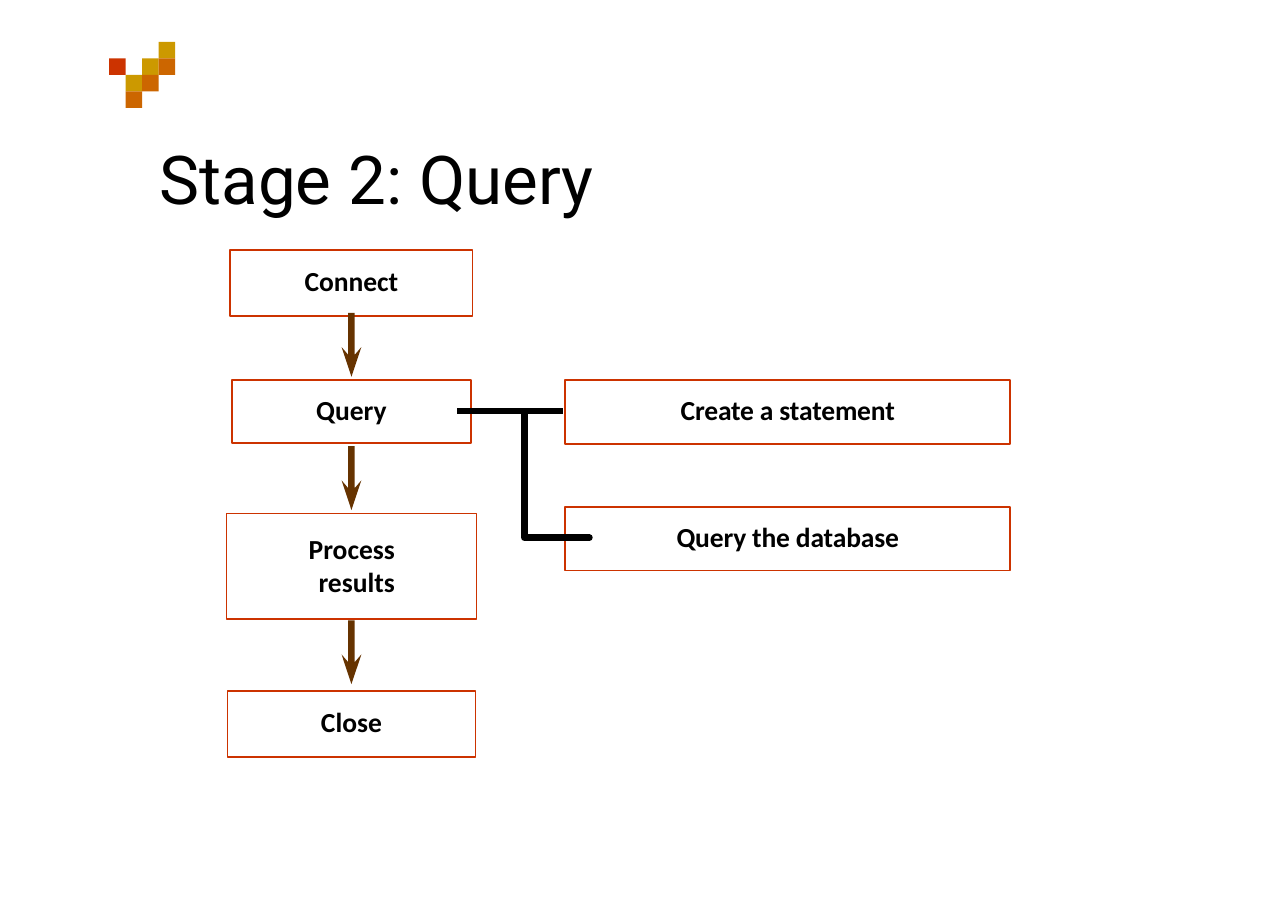
from pptx import Presentation
from pptx.dml.color import RGBColor
from pptx.enum.dml import MSO_LINE
from pptx.enum.shapes import MSO_CONNECTOR, MSO_SHAPE
from pptx.enum.text import MSO_ANCHOR, PP_ALIGN
from pptx.oxml.ns import qn
from pptx.util import Inches, Pt
from lxml import etree

BLACK = RGBColor(0x00, 0x00, 0x00)
RED = RGBColor(0xCC, 0x33, 0x00)
ORANGE = RGBColor(0xCC, 0x66, 0x00)
GOLD = RGBColor(0xCC, 0x99, 0x00)
BROWN = RGBColor(0x66, 0x33, 0x00)

# column, row, colour of each square in the corner ornament
ORNAMENT = [(3, 0, GOLD), (0, 1, RED), (2, 1, GOLD), (3, 1, ORANGE),
            (1, 2, GOLD), (2, 2, ORANGE), (1, 3, ORANGE)]
ORNAMENT_LEFT, ORNAMENT_TOP, SQUARE_SIZE = 0.99, 0.38, 0.15

FLOW_CENTER = 3.19
# text, top, width, height, formatting
FLOW_STEPS = [
    ("Connect", 2.27, 2.2, 0.6, {}),
    ("Query", 3.45, 2.17, 0.57, {}),
    ("Process results", 4.66, 2.27, 0.96,
     {"align": PP_ALIGN.RIGHT, "insets": (0.6, 0, 0.74, 0.03)}),
    ("Close", 6.27, 2.25, 0.6, {}),
]
ARROW_TOPS = [2.84, 4.05, 5.63]
# offsets of the arrow outline from the centre of its top edge
ARROW_OUTLINE = [(-0.03, 0), (0.03, 0), (0.03, 0.38), (0.09, 0.31),
                 (0, 0.58), (-0.09, 0.31), (-0.03, 0.38)]

DETAILS = ["Create a statement", "Query the database"]
DETAIL_LEFT, DETAIL_TOP, DETAIL_PITCH = 5.13, 3.45, 1.15
DETAIL_WIDTH, DETAIL_HEIGHT = 4.04, 0.58


def write_text(frame, text, font="Calibri", size=18, bold=True, color=BLACK,
               align=PP_ALIGN.CENTER, anchor=MSO_ANCHOR.MIDDLE,
               insets=(0, 0, 0, 0.04), spacing=0):
    """Fill a text frame; insets are left, top, right, bottom in inches.

    Spacing between letters is in hundredths of a point.
    """
    frame.word_wrap = True
    frame.vertical_anchor = anchor
    (frame.margin_left, frame.margin_top,
     frame.margin_right, frame.margin_bottom) = map(Inches, insets)
    paragraph = frame.paragraphs[0]
    paragraph.alignment = align
    run = paragraph.add_run()
    run.text = text
    run.font.name = font
    run.font.size = Pt(size)
    run.font.bold = bold
    run.font.color.rgb = color
    if spacing:
        run._r.get_or_add_rPr().set("spc", str(spacing))


class SlideBuilder:
    """Holds the slide and the line widths shared by its elements."""

    outline_width = Pt(1)
    branch_width = Pt(4.25)

    def __init__(self, slide):
        self.slide = slide

    def title(self, text, left, top, width, height):
        box = self.slide.shapes.add_textbox(
            Inches(left), Inches(top), Inches(width), Inches(height))
        write_text(box.text_frame, text, font="Roboto", size=44, bold=False,
                   align=PP_ALIGN.LEFT, anchor=MSO_ANCHOR.TOP,
                   insets=(0.02, 0.02, 0, 0))

    def rectangle(self, left, top, width, height):
        shape = self.slide.shapes.add_shape(
            MSO_SHAPE.RECTANGLE, Inches(left), Inches(top),
            Inches(width), Inches(height))
        shape.shadow.inherit = False
        return shape

    def paint(self, shape, color):
        shape.fill.solid()
        shape.fill.fore_color.rgb = color
        shape.line.fill.background()

    def square(self, left, top, size, color):
        self.paint(self.rectangle(left, top, size, size), color)

    def step_box(self, text, left, top, width, height, **text_format):
        shape = self.rectangle(left, top, width, height)
        shape.fill.background()
        shape.line.color.rgb = RED
        shape.line.width = self.outline_width
        write_text(shape.text_frame, text, **text_format)

    def freeform(self, points, close):
        start, *rest = [(Inches(x), Inches(y)) for x, y in points]
        builder = self.slide.shapes.build_freeform(*start)
        builder.add_line_segments(rest, close=close)
        shape = builder.convert_to_shape()
        shape.shadow.inherit = False
        return shape

    def arrow_down(self, x, top):
        outline = [(x + dx, top + dy) for dx, dy in ARROW_OUTLINE]
        self.paint(self.freeform(outline, close=True), BROWN)

    def straight_line(self, start, end):
        connector = self.slide.shapes.add_connector(
            MSO_CONNECTOR.STRAIGHT, *map(Inches, (*start, *end)))
        connector.line.color.rgb = BLACK
        connector.line.width = self.branch_width
        etree.SubElement(connector._element.spPr, qn("a:effectLst"))

    def rounded_path(self, points):
        """Draw an open line with round ends and corners."""
        shape = self.freeform(points, close=False)
        shape.fill.background()
        shape.line.color.rgb = BLACK
        shape.line.width = self.branch_width
        shape.line.dash_style = MSO_LINE.SOLID
        line = shape.line._get_or_add_ln()
        line.set("cap", "rnd")
        etree.SubElement(line, qn("a:round"))


def main():
    presentation = Presentation()
    presentation.slide_width = Inches(11.69)
    presentation.slide_height = Inches(8.26)
    builder = SlideBuilder(
        presentation.slides.add_slide(presentation.slide_layouts[6]))

    for column, row, color in ORNAMENT:
        builder.square(ORNAMENT_LEFT + column * SQUARE_SIZE,
                       ORNAMENT_TOP + row * SQUARE_SIZE, SQUARE_SIZE, color)
    builder.title("Stage 2: Query", 1.43, 1.23, 4.14, 0.76)

    for text, top, width, height, text_format in FLOW_STEPS:
        builder.step_box(text, FLOW_CENTER - width / 2, top, width, height,
                         **text_format)
    for top in ARROW_TOPS:
        builder.arrow_down(FLOW_CENTER, top)

    for index, text in enumerate(DETAILS):
        builder.step_box(text, DETAIL_LEFT, DETAIL_TOP + index * DETAIL_PITCH,
                         DETAIL_WIDTH, DETAIL_HEIGHT, spacing=-10)
    builder.straight_line((4.15, 3.73), (5.11, 3.73))
    builder.rounded_path([(4.76, 3.74), (4.76, 4.88), (5.35, 4.88)])

    presentation.save("out.pptx")


if __name__ == "__main__":
    main()
